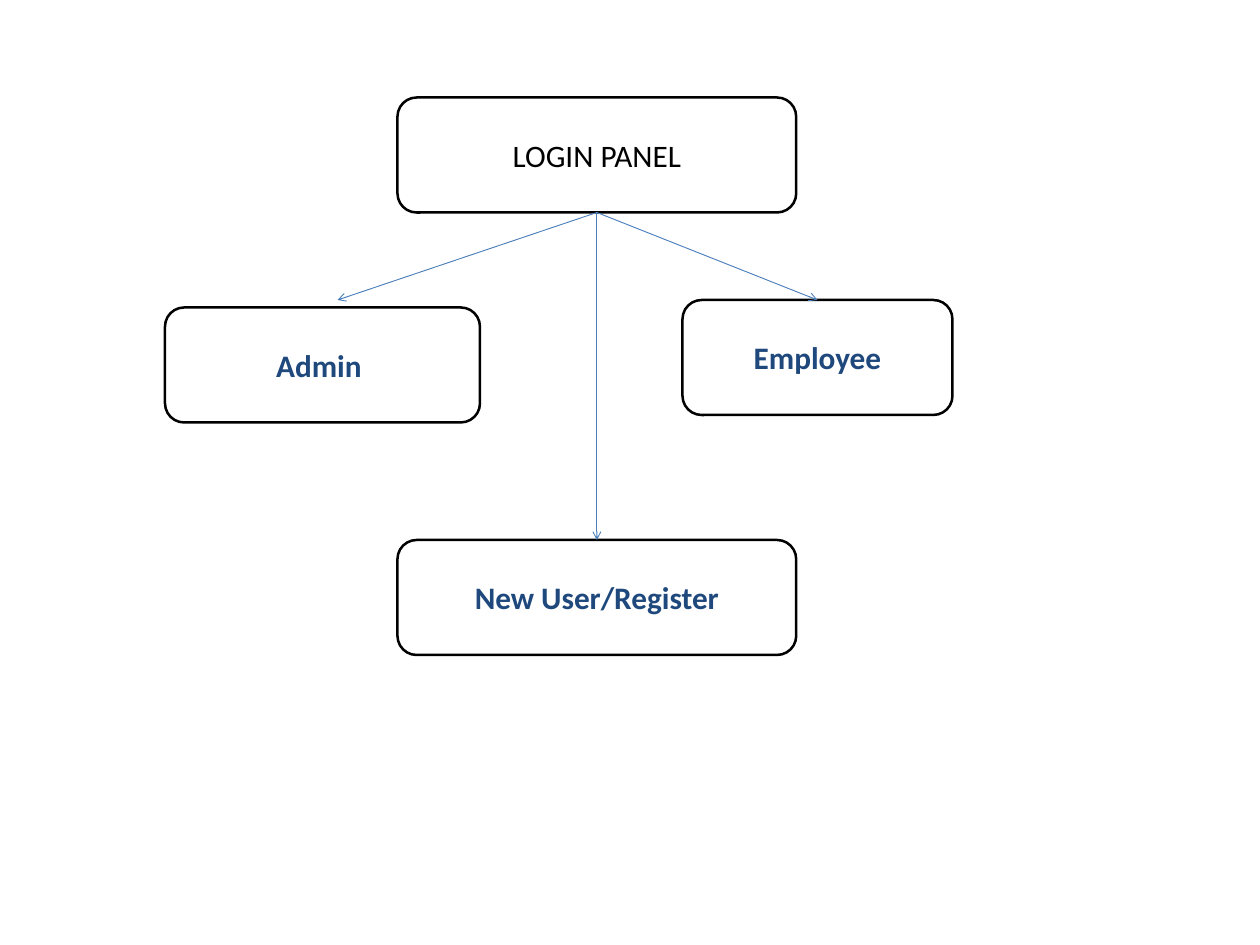
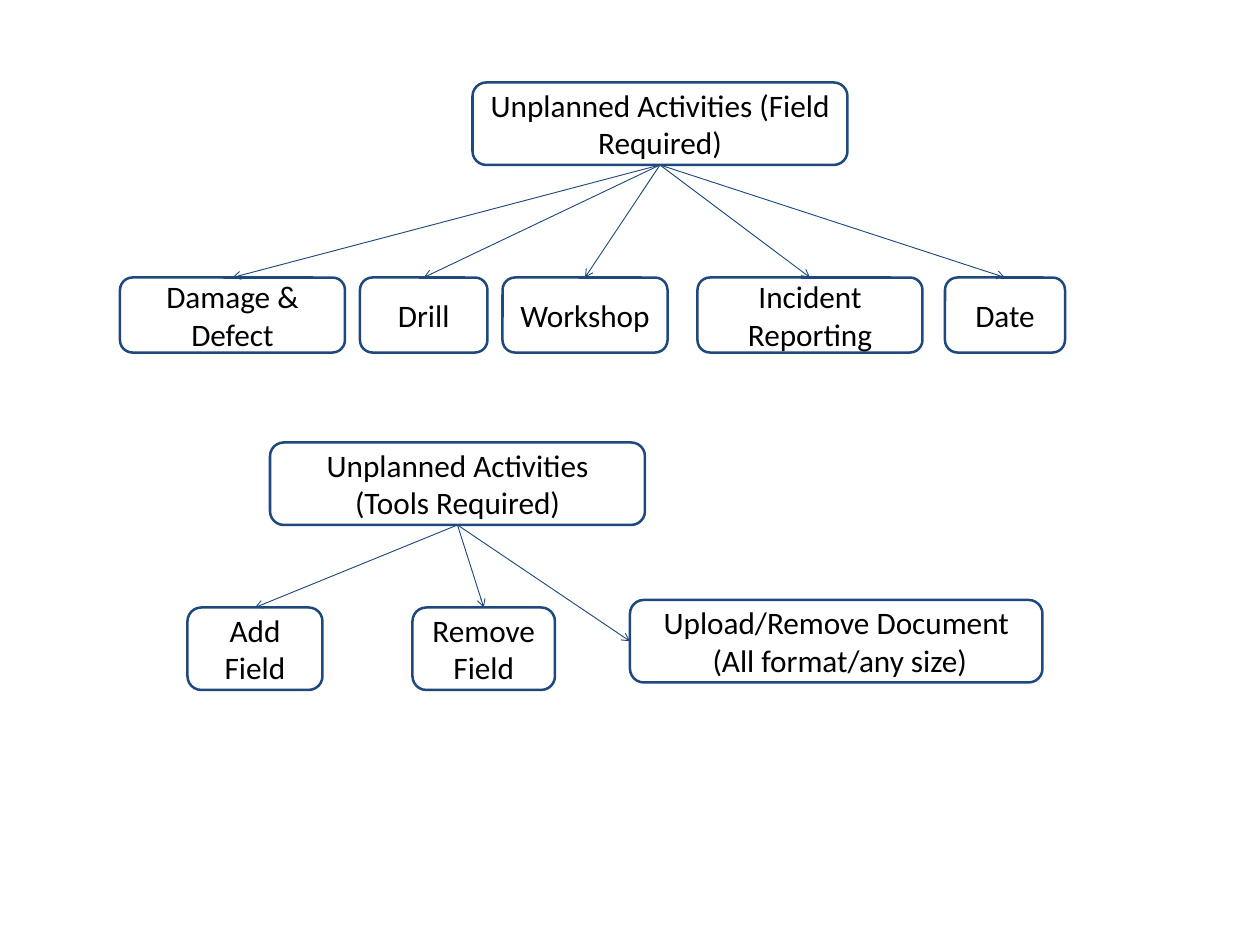
"""Build two slides of tree diagrams: the login panel and the unplanned activities."""
from dataclasses import dataclass
from typing import Optional

from lxml import etree
from pptx import Presentation
from pptx.dml.color import RGBColor
from pptx.enum.shapes import MSO_CONNECTOR, MSO_SHAPE
from pptx.enum.text import MSO_ANCHOR, PP_ALIGN
from pptx.oxml.ns import qn
from pptx.util import Pt

ROUNDED = MSO_SHAPE.ROUNDED_RECTANGLE
STRAIGHT = MSO_CONNECTOR.STRAIGHT
CENTER = PP_ALIGN.CENTER
MIDDLE = MSO_ANCHOR.MIDDLE
TOP_SITE, LEFT_SITE, BOTTOM_SITE = 0, 1, 2
BLANK_LAYOUT = 6

COLORS = {"white": "FFFFFF", "black": "000000", "navy": "1F497D", "blue": "4A7EBB"}
FONT_NAME = "Calibri"
FONT_SIZE = 25


@dataclass
class Node:
    """One box, placed relative to the corner of its tree."""
    lines: tuple
    left: float
    top: float
    width: float
    height: float
    site: int = TOP_SITE
    tip: Optional[tuple] = None


@dataclass
class Style:
    """Colours of one tree."""
    outline: str
    arrow: str
    child_text: str
    child_bold: bool


LOGIN_STYLE = Style("black", "blue", "navy", True)
ACTIVITY_STYLE = Style("navy", "navy", "black", False)


def color(name):
    """Return the named colour."""
    return RGBColor.from_string(COLORS[name])


def add_box(slide, origin, node, outline, text_color, bold):
    """Add one rounded box with centred text."""
    left, top = origin
    box = slide.shapes.add_shape(ROUNDED, Pt(left + node.left), Pt(top + node.top),
                                 Pt(node.width), Pt(node.height))
    box.shadow.inherit = False
    box.fill.solid()
    box.fill.fore_color.rgb = color("white")
    box.line.color.rgb = color(outline)
    box.line.width = Pt(2)
    frame = box.text_frame
    frame.word_wrap = True
    frame.vertical_anchor = MIDDLE
    frame.margin_left = frame.margin_right = Pt(10)
    frame.margin_top = frame.margin_bottom = Pt(5)
    for index, text in enumerate(node.lines):
        paragraph = frame.add_paragraph() if index else frame.paragraphs[0]
        paragraph.alignment = CENTER
        run = paragraph.add_run()
        run.text = text
        run.font.name = FONT_NAME
        run.font.size = Pt(FONT_SIZE)
        run.font.bold = bold
        run.font.color.rgb = color(text_color)
    return box


def add_arrow(slide, origin, root_box, child_box, node, arrow_color):
    """Add an arrow from the bottom of the root to a child."""
    tip_left, tip_top = node.tip or (node.left, node.top)
    connector = slide.shapes.add_connector(STRAIGHT, 0, 0, Pt(origin[0] + tip_left),
                                           Pt(origin[1] + tip_top))
    connector.begin_connect(root_box, BOTTOM_SITE)
    if node.tip is None:
        connector.end_connect(child_box, node.site)
    connector.line.color.rgb = color(arrow_color)
    connector.line.width = Pt(0.75)
    properties = connector.element.spPr
    etree.SubElement(properties.find(qn("a:ln")), qn("a:tailEnd"), type="arrow")
    etree.SubElement(properties, qn("a:effectLst"))


def add_tree(slide, left, top, root, children, style):
    """Draw a root box, its children and the arrows between them."""
    origin = (left, top)
    root_box = add_box(slide, origin, root, style.outline, "black", False)
    child_boxes = [add_box(slide, origin, child, style.outline, style.child_text,
                           style.child_bold) for child in children]
    for child, child_box in zip(children, child_boxes):
        add_arrow(slide, origin, root_box, child_box, child, style.arrow)


def add_login_slide(presentation):
    """Add the login panel with its three kinds of user."""
    slide = presentation.slides.add_slide(presentation.slide_layouts[BLANK_LAYOUT])
    add_tree(slide, 132, 78, Node(("LOGIN PANEL",), 186, 0, 319, 92), [
        Node(("Admin ",), 0, 168, 252, 92, tip=(138, 162)),
        Node(("Employee",), 414, 162, 216, 92),
        Node(("New User/Register",), 186, 354, 319, 92),
    ], LOGIN_STYLE)


def add_activities_slide(presentation):
    """Add the fields and the tools that unplanned activities require."""
    slide = presentation.slides.add_slide(presentation.slide_layouts[BLANK_LAYOUT])
    fields = (("Damage & Defect", 0, 180), ("Drill", 192, 102), ("Workshop", 306, 132),
              ("Incident Reporting", 462, 180), ("Date", 660, 96))
    add_tree(slide, 96, 66,
             Node(("Unplanned Activities (Field Required)",), 282, 0, 300, 66),
             [Node((text,), left, 156, width, 60) for text, left, width in fields],
             ACTIVITY_STYLE)
    add_tree(slide, 150, 354,
             Node(("Unplanned Activities (Tools Required)",), 66, 0, 300, 66), [
                 Node(("Add Field",), 0, 132, 108, 66),
                 Node(("Remove Field",), 180, 132, 114, 66),
                 Node(("Upload/Remove Document", " (All format/any size)"),
                      354, 126, 330, 66, site=LEFT_SITE),
             ], ACTIVITY_STYLE)


def main():
    """Build and save the presentation."""
    presentation = Presentation()
    presentation.slide_width = Pt(1008)
    presentation.slide_height = Pt(756)
    add_login_slide(presentation)
    add_activities_slide(presentation)
    presentation.save("out.pptx")


if __name__ == "__main__":
    main()
